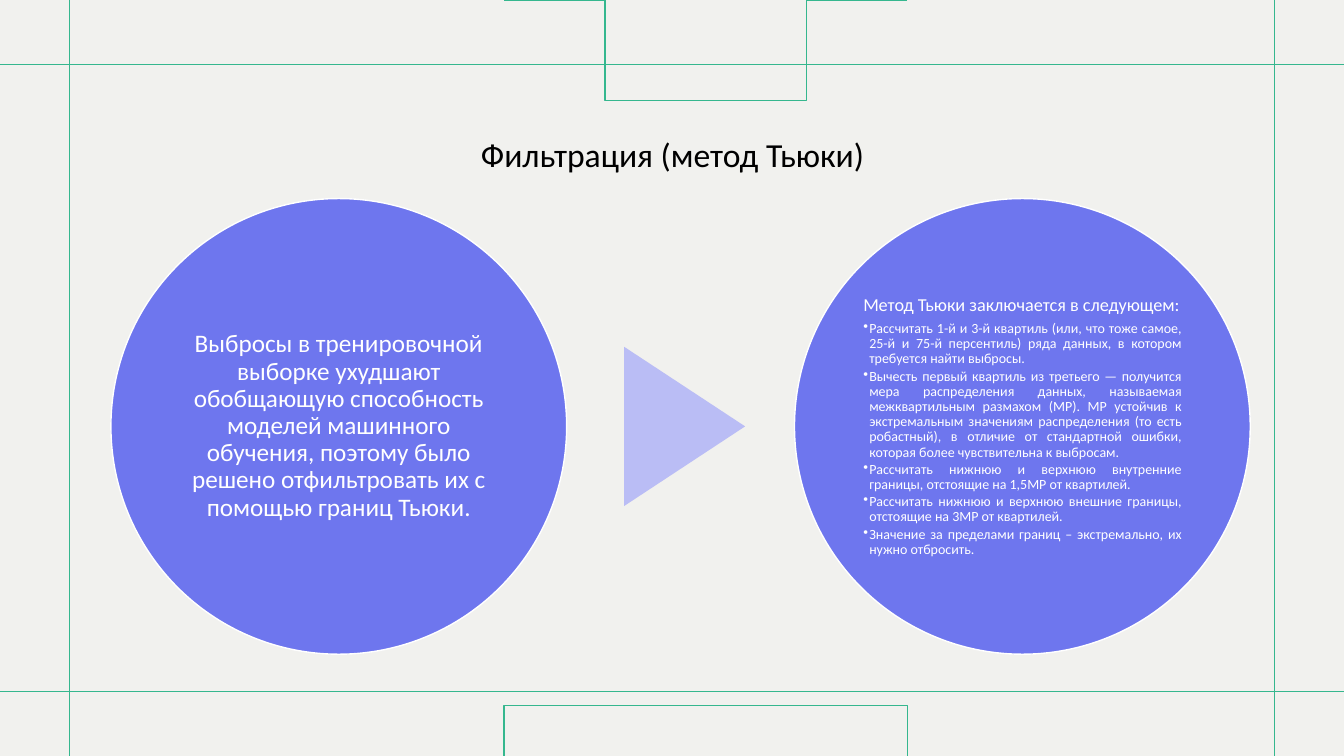
from math import asin, cos, sin

from lxml.etree import SubElement
from pptx import Presentation
from pptx.dml.color import RGBColor
from pptx.enum.shapes import MSO_CONNECTOR, MSO_SHAPE
from pptx.enum.text import MSO_ANCHOR, PP_ALIGN
from pptx.oxml.ns import qn
from pptx.util import Inches, Pt

PAPER = RGBColor(0xF1, 0xF1, 0xEE)
GREEN = RGBColor(0x35, 0xB7, 0x8E)
VIOLET = RGBColor(0x6E, 0x76, 0xEE)
LILAC = RGBColor(0xBA, 0xBD, 0xF5)
WHITE = RGBColor(0xFF, 0xFF, 0xFF)
BLACK = RGBColor(0, 0, 0)

WIDTH, HEIGHT = 13.33, 7.5
MARGIN_X, MARGIN_Y = 0.69, 0.64
ARC_HALF_WIDTH = 1.98
ARC_STEPS = 48

TITLE = "Фильтрация (метод Тьюки)"
REASON = (
    "Выбросы в тренировочной выборке ухудшают обобщающую способность моделей "
    "машинного обучения, поэтому было решено отфильтровать их с помощью границ Тьюки."
)
METHOD = "Метод Тьюки заключается в следующем:"
METHOD_STEPS = [
    "Рассчитать 1-й и 3-й квартиль (или, что тоже самое, 25-й и 75-й персентиль) "
    "ряда данных, в котором требуется найти выбросы.",
    "Вычесть первый квартиль из третьего — получится мера распределения данных, "
    "называемая межквартильным размахом (МР). МР устойчив к экстремальным значениям "
    "распределения (то есть робастный), в отличие от стандартной ошибки, которая "
    "более чувствительна к выбросам.",
    "Рассчитать нижнюю и верхнюю внутренние границы, отстоящие на 1,5МР от квартилей.",
    "Рассчитать нижнюю и верхнюю внешние границы, отстоящие на 3МР от квартилей.",
    "Значение за пределами границ – экстремально, их нужно отбросить.",
]

REASON_FORMAT = {"alignment": PP_ALIGN.CENTER, "line_spacing": 0.9, "space_after": Pt(6.3)}
METHOD_FORMAT = {"alignment": PP_ALIGN.LEFT, "line_spacing": 0.9, "space_after": Pt(4.55)}
STEP_FORMAT = {"alignment": PP_ALIGN.JUSTIFY, "line_spacing": 0.9,
               "space_after": Pt(1.5), "level": 1}


def set_attributes(target, values):
    for name, value in values.items():
        setattr(target, name, value)


def prepare_frame(frame, inset):
    margins = ("margin_left", "margin_right", "margin_top", "margin_bottom")
    set_attributes(frame, {"word_wrap": True, "vertical_anchor": MSO_ANCHOR.MIDDLE,
                           **dict.fromkeys(margins, Inches(inset))})


def write_paragraph(paragraph, text, size, color, paragraph_format):
    set_attributes(paragraph, paragraph_format)
    run = paragraph.add_run()
    run.text = text
    set_attributes(run.font, {"name": "Calibri", "size": Pt(size)})
    run.font.color.rgb = color


def add_bullet(paragraph, indent):
    properties = paragraph._p.get_or_add_pPr()
    properties.set("marL", str(Inches(indent)))
    properties.set("indent", str(-Inches(indent)))
    SubElement(properties, qn("a:buChar"), char="•")


def add_green_line(slide, start, end):
    points = [Inches(value) for value in (*start, *end)]
    line = slide.shapes.add_connector(MSO_CONNECTOR.STRAIGHT, *points)
    line.line.color.rgb = GREEN
    line.line.width = Pt(1)
    SubElement(line._element.spPr, qn("a:effectLst"))


def add_arc(slide, apex_y, edge_y):
    """Draw a circular arc touching apex_y and cut off by the slide edge at edge_y."""
    sag = edge_y - apex_y
    radius = (ARC_HALF_WIDTH ** 2 + sag ** 2) / (2 * abs(sag))
    limit = asin(ARC_HALF_WIDTH / radius)
    direction = 1 if sag > 0 else -1
    angles = [limit * (2 * step / ARC_STEPS - 1) for step in range(ARC_STEPS + 1)]
    points = [(WIDTH / 2 + radius * sin(angle),
               apex_y + direction * radius * (1 - cos(angle))) for angle in angles]
    builder = slide.shapes.build_freeform(*points[0], scale=Inches(1))
    builder.add_line_segments(points[1:], close=False)
    arc = builder.convert_to_shape()
    arc.shadow.inherit = False
    arc.fill.background()
    arc.line.color.rgb = GREEN
    arc.line.width = Pt(1)


def add_frame(slide):
    """Draw the green rules and the arcs beyond them."""
    for y, edge_y in ((HEIGHT - MARGIN_Y, HEIGHT), (MARGIN_Y, 0)):
        add_green_line(slide, (0, y), (WIDTH, y))
        add_arc(slide, y, edge_y)
    for x in (WIDTH - MARGIN_X, MARGIN_X):
        add_green_line(slide, (x, HEIGHT), (x, 0))


def add_title(slide, left, top, width, height):
    box = slide.shapes.add_textbox(*map(Inches, (left, top, width, height)))
    prepare_frame(box.text_frame, 0.05)
    write_paragraph(box.text_frame.paragraphs[0], TITLE, 24, BLACK,
                    {"alignment": PP_ALIGN.CENTER})


def add_filled_shape(slide, kind, box, color):
    shape = slide.shapes.add_shape(kind, *map(Inches, box))
    shape.shadow.inherit = False
    shape.fill.solid()
    shape.fill.fore_color.rgb = color
    shape.line.fill.background()
    return shape


def add_circle(slide, box, inset):
    """Add a violet circle and return its text frame."""
    circle = add_filled_shape(slide, MSO_SHAPE.OVAL, box, VIOLET)
    circle.line.color.rgb = WHITE
    circle.line.width = Pt(1)
    prepare_frame(circle.text_frame, inset)
    return circle.text_frame


def add_process(slide, left, top, width, height):
    """Place a circle at each end of the box and a pointer between them."""
    reason = add_circle(slide, (left, top, height, height), 0.03)
    write_paragraph(reason.paragraphs[0], REASON, 18, WHITE, REASON_FORMAT)

    base, depth = 1.58, 1.2
    pointer_box = (left + (width - base) / 2 + 0.04, top + (height - depth) / 2, base, depth)
    pointer = add_filled_shape(slide, MSO_SHAPE.ISOSCELES_TRIANGLE, pointer_box, LILAC)
    pointer.rotation = 90

    method = add_circle(slide, (left + width - height, top, height, height), 0.02)
    write_paragraph(method.paragraphs[0], METHOD, 13, WHITE, METHOD_FORMAT)
    for step in METHOD_STEPS:
        paragraph = method.add_paragraph()
        write_paragraph(paragraph, step, 10, WHITE, STEP_FORMAT)
        add_bullet(paragraph, 0.06)


def main():
    presentation = Presentation()
    set_attributes(presentation, {"slide_width": Inches(WIDTH), "slide_height": Inches(HEIGHT)})
    slide = presentation.slides.add_slide(presentation.slide_layouts[6])
    slide.background.fill.solid()
    slide.background.fill.fore_color.rgb = PAPER
    add_frame(slide)
    add_title(slide, 0.92, 0.8, 11.5, 1.45)
    add_process(slide, 1.1, 1.97, 11.3, 4.52)
    presentation.save("out.pptx")


if __name__ == "__main__":
    main()
